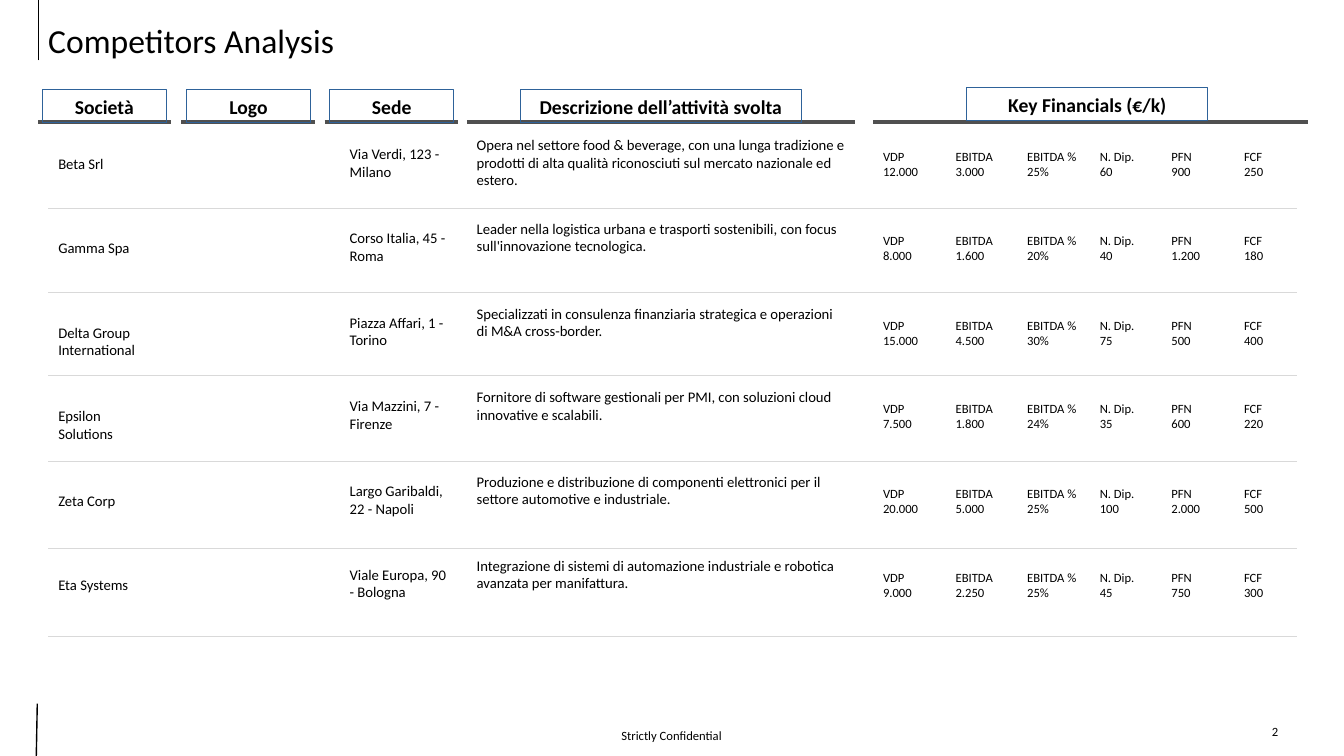
from pptx import Presentation
from pptx.dml.color import RGBColor
from pptx.enum.shapes import MSO_CONNECTOR
from pptx.enum.text import MSO_ANCHOR, PP_ALIGN
from pptx.oxml.ns import qn
from pptx.util import Pt
from lxml.etree import SubElement

SCALE = 9144
BLACK, GREY, PALE, BLUE = "000000", "505050", "D9D9D9", "2E6299"
HEADS = [
    ("Società", (38, 132), (42, 89, 123, 33)),
    ("Logo", (180, 132), (185, 89, 123, 33)),
    ("Sede", (322, 132), (327, 89, 123, 33)),
    ("Descrizione dell’attività svolta", (463, 385), (516, 89, 279, 33)),
    ("Key Financials (€/k)", (866, 431), (959, 87, 239, 33)),
]
LABELS = ["VDP", "EBITDA", "EBITDA %", "N. Dip.", "PFN", "FCF"]
FIRMS = [
    ("Beta Srl", "Via Verdi, 123 - Milano",
     "Opera nel settore food & beverage, con una lunga tradizione e prodotti di alta "
     "qualità riconosciuti sul mercato nazionale ed estero.",
     ["12.000", "3.000", "25%", "60", "900", "250"]),
    ("Gamma Spa", "Corso Italia, 45 - Roma",
     "Leader nella logistica urbana e trasporti sostenibili, con focus sull'innovazione "
     "tecnologica.",
     ["8.000", "1.600", "20%", "40", "1.200", "180"]),
    ("Delta Group International", "Piazza Affari, 1 - Torino",
     "Specializzati in consulenza finanziaria strategica e operazioni di M&A cross-border.",
     ["15.000", "4.500", "30%", "75", "500", "400"]),
    ("Epsilon Solutions", "Via Mazzini, 7 - Firenze",
     "Fornitore di software gestionali per PMI, con soluzioni cloud innovative e scalabili.",
     ["7.500", "1.800", "24%", "35", "600", "220"]),
    ("Zeta Corp", "Largo Garibaldi, 22 - Napoli",
     "Produzione e distribuzione di componenti elettronici per il settore automotive e "
     "industriale.",
     ["20.000", "5.000", "25%", "100", "2.000", "500"]),
    ("Eta Systems", "Viale Europa, 90 - Bologna",
     "Integrazione di sistemi di automazione industriale e robotica avanzata per manifattura.",
     ["9.000", "2.250", "25%", "45", "750", "300"]),
]
RULES = [207, 290, 373, 458, 544, 631]
PITCH, STEP = 83.4, 71.6


def px(n):
    """Turn whole px into EMU."""
    return round(n) * SCALE


def color(code):
    """Turn a hex string into a colour."""
    return RGBColor.from_string(code)


def write(slide, text, box, size=10.5, bold=False, align=PP_ALIGN.LEFT,
          anchor=MSO_ANCHOR.TOP, edge=None, space=None):
    """Place wrapped text in a box with the given format."""
    shape = slide.shapes.add_textbox(*map(px, box))
    frame = shape.text_frame
    frame.word_wrap = True
    frame.vertical_anchor = anchor
    para = frame.paragraphs[0]
    para.text = text
    para.alignment = align
    para.line_spacing = space
    for run in para.runs:
        run.font.name = "Calibri"
        run.font.size = Pt(size)
        run.font.bold = bold
        run.font.color.rgb = color(BLACK)
    if edge:
        shape.line.color.rgb = color(edge)
        shape.line.width = Pt(0.75)


def rule(slide, start, end, code, width):
    """Draw a straight line without a shadow."""
    line = slide.shapes.add_connector(MSO_CONNECTOR.STRAIGHT, *map(px, start + end))
    line.line.color.rgb = color(code)
    line.line.width = Pt(width)
    SubElement(line._element.spPr, qn("a:effectLst"))


def frame(slide, wide, high):
    """Draw the title, edge lines, footer and page number."""
    rule(slide, (36, high), (37, high - 52), BLACK, 1)
    rule(slide, (38, 60), (38, 0), BLACK, 1)
    write(slide, "Competitors Analysis", (38, 22, 1165, 40), size=24,
          anchor=MSO_ANCHOR.MIDDLE, space=0.9)
    write(slide, "Strictly Confidential", ((wide - 384) / 2, high - 40, 384, 40), size=9,
          align=PP_ALIGN.CENTER, anchor=MSO_ANCHOR.MIDDLE)
    write(slide, "2", (wide - 101, high - 37, 65, 40), size=9, align=PP_ALIGN.CENTER)


def header(slide, top):
    """Draw the column heads above their rules."""
    for text, (left, wide), box in HEADS:
        rule(slide, (left, top), (left + wide, top), GREY, 2.25)
        write(slide, text, box, size=14, bold=True, align=PP_ALIGN.CENTER, edge=BLUE)


def firm(slide, top, name, seat, about, values):
    """Write one company row from its top edge."""
    write(slide, name, (48, top + 19, 118, 28))
    write(slide, seat, (337, top + 9, 118, 45))
    write(slide, about, (463, top, 386, 28))
    for j, (label, value) in enumerate(zip(LABELS, values)):
        write(slide, f"{label}\n{value}", (866 + j * STEP, top + 13, 73, 40), size=9)


def main():
    """Build and save the slide."""
    deck = Presentation()
    deck.slide_width, deck.slide_height = px(1333), px(750)
    slide = deck.slides.add_slide(deck.slide_layouts[6])
    frame(slide, 1333, 750)
    header(slide, 121)
    for y in RULES:
        rule(slide, (48, y), (1286, y), PALE, 0.75)
    for i, row in enumerate(FIRMS):
        firm(slide, 130 + i * PITCH, *row)
    deck.save("out.pptx")


if __name__ == "__main__":
    main()
